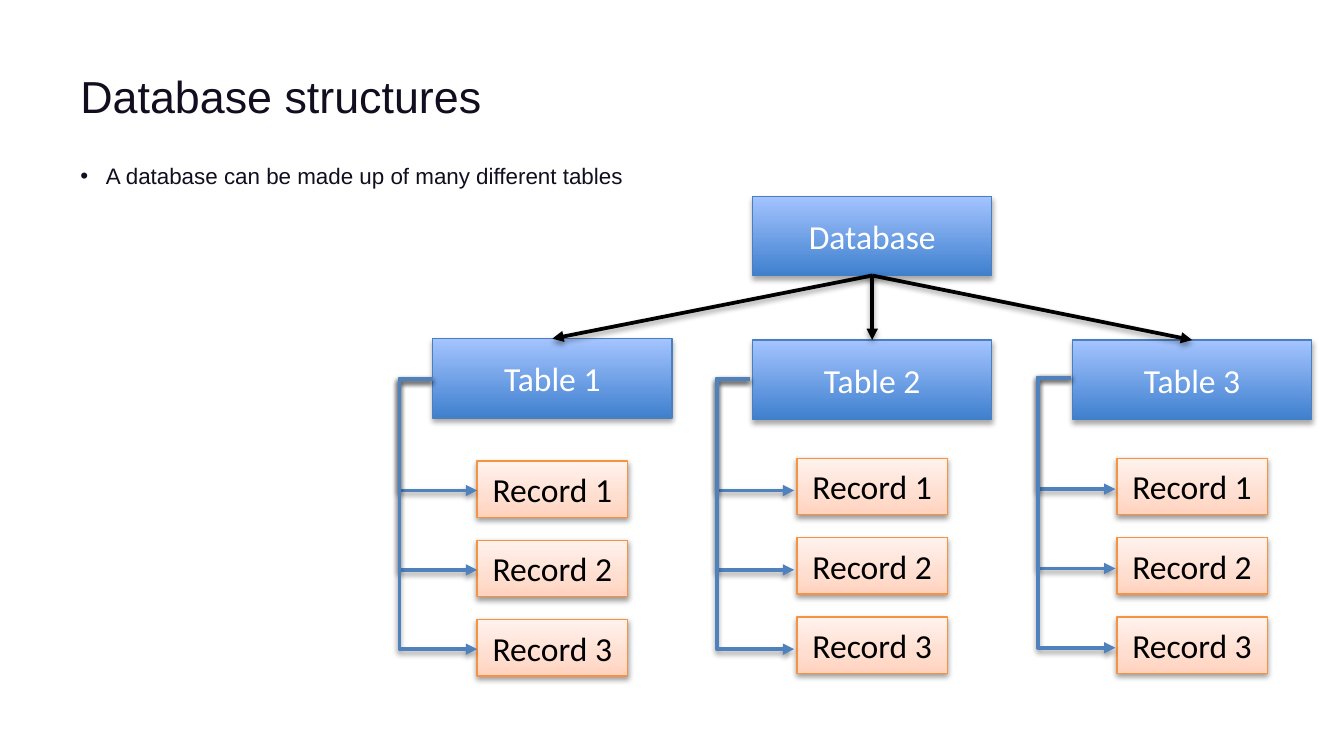
"""Build a slide showing a database, its tables and their records."""
from copy import deepcopy

from lxml.etree import SubElement
from pptx import Presentation
from pptx.dml.color import RGBColor
from pptx.enum.shapes import MSO_CONNECTOR as Connector, MSO_SHAPE as Shape
from pptx.enum.text import MSO_ANCHOR as Anchor, PP_ALIGN as Align
from pptx.oxml.ns import qn
from pptx.util import Inches, Pt

INK = RGBColor(0x12, 0x0D, 0x1F)
BLACK = RGBColor(0, 0, 0)
WHITE = RGBColor(255, 255, 255)
BLUE_EDGE = RGBColor(0x4B, 0x7E, 0xBC)
BLUE_LINE = RGBColor(0x4F, 0x81, 0xBD)
ORANGE_EDGE = RGBColor(0xF6, 0x92, 0x40)
BLUE_STOPS = [(0, RGBColor(0x3F, 0x80, 0xCE)), (1, RGBColor(0xA4, 0xC4, 0xFF))]
PEACH_STOPS = [
    (0, RGBColor(0xFF, 0xD2, 0xBD)),
    (0.35, RGBColor(0xFF, 0xDE, 0xD0)),
    (1, RGBColor(0xFF, 0xF2, 0xED)),
]
BLUE_STYLE = (BLUE_STOPS, BLUE_EDGE, WHITE, 35, 1.8)
PEACH_STYLE = (PEACH_STOPS, ORANGE_EDGE, BLACK, 38, 1.6)

COLUMN = Inches(2.38)
ROW = Inches(0.59)
FIRST_LEFT = Inches(3.22)
TABLE_WIDTH = Inches(1.78)
RECORD_INDENT = Inches(0.33)
RECORD_WIDTH, RECORD_HEIGHT = Inches(1.12), Inches(0.42)
ELBOW_DROP = Inches(0.83)
TABLES = [(2.52, 3.43, 3.22, 2.82), (2.53, 3.41, 5.58, 2.82), (2.53, 3.41, 7.97, 2.81)]


def write(box, text, font="Calibri", size=18, color=INK, align=Align.LEFT, anchor=Anchor.TOP):
    frame = box.text_frame
    frame.word_wrap = True
    frame.vertical_anchor = anchor
    para = frame.paragraphs[0]
    para.alignment = align
    span = para.add_run()
    span.text = text
    span.font.name, span.font.size, span.font.color.rgb = font, Pt(size), color
    return para


def cast_shadow(item, opacity=38, distance=1.6):
    effects = SubElement(item._element.spPr, qn("a:effectLst"))
    shadow = SubElement(effects, qn("a:outerShdw"), blurRad=str(Pt(3.1)),
                        dist=str(Pt(distance)), dir="5400000", rotWithShape="0")
    tone = SubElement(shadow, qn("a:srgbClr"), val=str(BLACK))
    SubElement(tone, qn("a:alpha"), val=str(opacity * 1000))


deck = Presentation()
deck.slide_width = Inches(10)
deck.slide_height = deck.slide_width * 9 // 16
page = deck.slides.add_slide(deck.slide_layouts[6])
margin, body_width = deck.slide_width // 20, deck.slide_width * 9 // 10

title = page.shapes.add_textbox(margin, Inches(0.46), body_width, Inches(0.53))
write(title, "Database structures", font="Arial", size=24)

body = page.shapes.add_textbox(margin, Inches(1.16), body_width, Inches(0.6))
point = write(body, "A database can be made up of many different tables",
              font="Arial", size=12, align=Align.JUSTIFY)
layout = point._p.get_or_add_pPr()
layout.set("marL", str(Inches(0.19)))
layout.set("indent", str(-Inches(0.19)))
SubElement(layout, qn("a:buFont"), typeface="Arial")
SubElement(layout, qn("a:buChar"), char="•")

plans = [("Database", FIRST_LEFT + COLUMN, Inches(1.46), TABLE_WIDTH, ROW, BLUE_STYLE)]
for column, (table_top, record_top, _, _) in enumerate(TABLES):
    left = FIRST_LEFT + column * COLUMN
    plans.append((f"Table {column + 1}", left, Inches(table_top), TABLE_WIDTH, ROW, BLUE_STYLE))
    for row in range(3):
        plans.append((f"Record {row + 1}", left + RECORD_INDENT, Inches(record_top) + row * ROW,
                      RECORD_WIDTH, RECORD_HEIGHT, PEACH_STYLE))

boxes = {}
for text, left, top, width, height, (stops, edge, ink, opacity, distance) in plans:
    box = page.shapes.add_shape(Shape.RECTANGLE, left, top, width, height)
    box.fill.gradient()
    box.fill.gradient_angle = 90
    stop_list = box._element.spPr.find(".//" + qn("a:gsLst"))
    for _ in stops[2:]:
        stop_list.append(deepcopy(stop_list[-1]))
    for stop, (position, color) in zip(box.fill.gradient_stops, stops):
        stop.position, stop.color.rgb = position, color
    box.line.color.rgb, box.line.width = edge, Pt(0.75)
    cast_shadow(box, opacity, distance)
    write(box, text, color=ink, align=Align.CENTER, anchor=Anchor.MIDDLE)
    boxes[text] = box

links = []
for column, (_, _, left, top) in enumerate(TABLES):
    arrow = page.shapes.add_connector(Connector.STRAIGHT, 0, 0, 0, 0)
    arrow.begin_connect(boxes["Database"], 2)
    arrow.end_connect(boxes[f"Table {column + 1}"], 0)
    links.append((arrow, BLACK))
    branch = page.shapes.add_group_shape()
    start_x, start_y = Inches(left), Inches(top)
    for row in range(3):
        elbow = branch.shapes.add_connector(
            Connector.ELBOW, start_x, start_y,
            start_x + RECORD_INDENT, start_y + ELBOW_DROP + row * ROW)
        guides = elbow._element.spPr.find(".//" + qn("a:avLst"))
        SubElement(guides, qn("a:gd"), name="adj1", fmla="val -75000")
        links.append((elbow, BLUE_LINE))

for link, color in links:
    link.line.color.rgb, link.line.width = color, Pt(2)
    SubElement(link._element.spPr.find(qn("a:ln")), qn("a:tailEnd"), type="triangle")
    cast_shadow(link)

deck.save("out.pptx")
